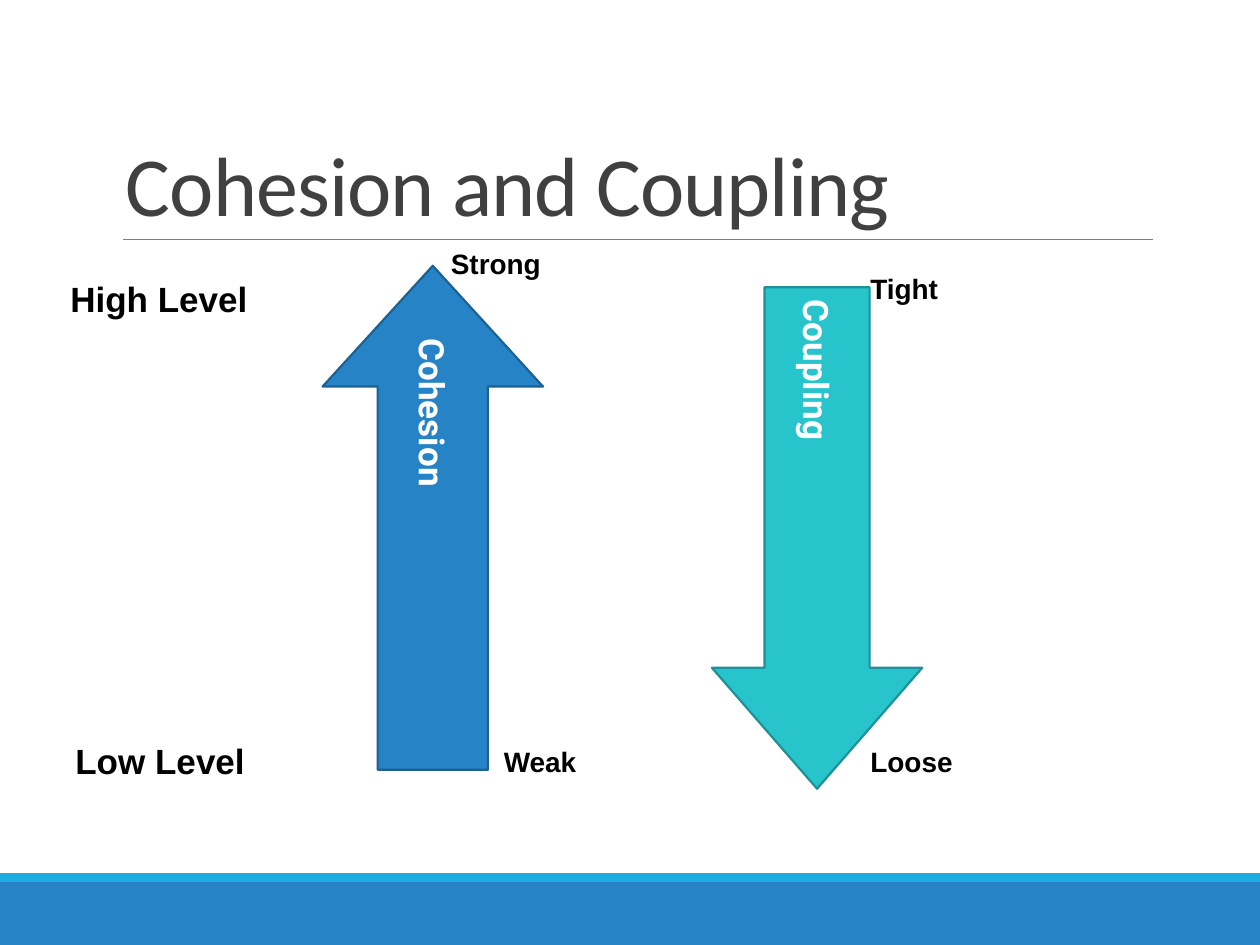
"""Build a slide that sets cohesion and coupling side by side as opposing arrows."""
from lxml import etree
from pptx import Presentation
from pptx import util as u
from pptx.dml.color import RGBColor
from pptx.enum import shapes, text
from pptx.oxml.ns import qn

COLORS = {
    "ink": "000000", "title": "404040", "rule": "808080", "white": "FFFFFF",
    "blue": "2683C6", "blue edge": "1C6192", "sky": "1CADE4",
    "teal": "28C4CC", "teal edge": "1E9197",
}

deck = Presentation()
deck.slide_width, deck.slide_height = u.Inches(10), u.Inches(7.5)
page = deck.slides.add_slide(deck.slide_layouts[6])
column, row = deck.slide_width / 10, deck.slide_height / 7.5


def place(left, top, width, height):
    return [round(n) for n in (left * column, top * row, width * column, height * row)]


def write(box, words, size, font, color, bold=True):
    para = box.text_frame.paragraphs[0]
    span = para.add_run()
    span.text = words
    span.font.size, span.font.name, span.font.bold = u.Pt(size), font, bold
    span.font.color.rgb = RGBColor.from_string(COLORS[color])
    return para, span


for top, height, color in [(7, 0.5, "blue"), (6.93, 0.07, "sky")]:
    band = page.shapes.add_shape(shapes.MSO_SHAPE.RECTANGLE, *place(0, top, 10, height))
    band.shadow.inherit = False
    band.fill.solid()
    band.fill.fore_color.rgb = RGBColor.from_string(COLORS[color])
    band.line.fill.background()

start_x, start_y, end_x, end_y = place(0.98, 1.9, 9.15, 1.9)
rule = page.shapes.add_connector(shapes.MSO_CONNECTOR.STRAIGHT, start_x, start_y, end_x, end_y)
rule.line.color.rgb = RGBColor.from_string(COLORS["rule"])
rule.line.width = u.Pt(0.5)
etree.SubElement(rule._element.spPr, qn("a:effectLst"))

title = page.shapes.add_textbox(*place(0.9, 0.31, 8.25, 1.59))
title.text_frame.word_wrap = True
title.text_frame.vertical_anchor = text.MSO_ANCHOR.BOTTOM
para, span = write(title, "Cohesion and Coupling", 48, "Calibri", "title", False)
para.line_spacing = 0.85
span.font._element.set("spc", "-50")

cohesion, coupling = page.shapes.add_group_shape(), page.shapes.add_group_shape()

arrows = [
    (cohesion, "Cohesion", shapes.MSO_SHAPE.UP_ARROW, (2.56, 2.11, 1.75, 4), 0.548, "blue"),
    (coupling, "Coupling", shapes.MSO_SHAPE.DOWN_ARROW, (5.65, 2.28, 1.67, 3.98), 0.575, "teal"),
]
for group, words, kind, area, head, color in arrows:
    arrow = group.shapes.add_shape(kind, *place(*area))
    arrow.shadow.inherit = False
    arrow.adjustments[0], arrow.adjustments[1] = 0.5, head
    arrow.fill.solid()
    arrow.fill.fore_color.rgb = RGBColor.from_string(COLORS[color])
    arrow.line.color.rgb = RGBColor.from_string(COLORS[color + " edge"])
    arrow.line.width = u.Pt(1.25)
    arrow.text_frame.word_wrap = False
    arrow.text_frame.vertical_anchor = text.MSO_ANCHOR.MIDDLE
    arrow.text_frame._txBody.bodyPr.set("vert", "eaVert")
    para, span = write(arrow, words, 20, "Roboto", "white")
    para.alignment = text.PP_ALIGN.CENTER

labels = [
    (page, "High Level", 20, (0.46, 2.15, 1.62, 0.44)),
    (page, "Low Level", 20, (0.5, 5.82, 1.56, 0.44)),
    (cohesion, "Strong", 16, (3.48, 1.91, 0.92, 0.37)),
    (cohesion, "Weak", 16, (3.9, 5.86, 0.78, 0.37)),
    (coupling, "Loose", 16, (6.81, 5.86, 0.85, 0.37)),
    (coupling, "Tight", 16, (6.81, 2.11, 0.74, 0.37)),
]
for parent, words, size, area in labels:
    label = parent.shapes.add_textbox(*place(*area))
    label.text_frame.word_wrap = False
    label.text_frame.auto_size = text.MSO_AUTO_SIZE.SHAPE_TO_FIT_TEXT
    write(label, words, size, "Arial", "ink")

deck.save("out.pptx")
